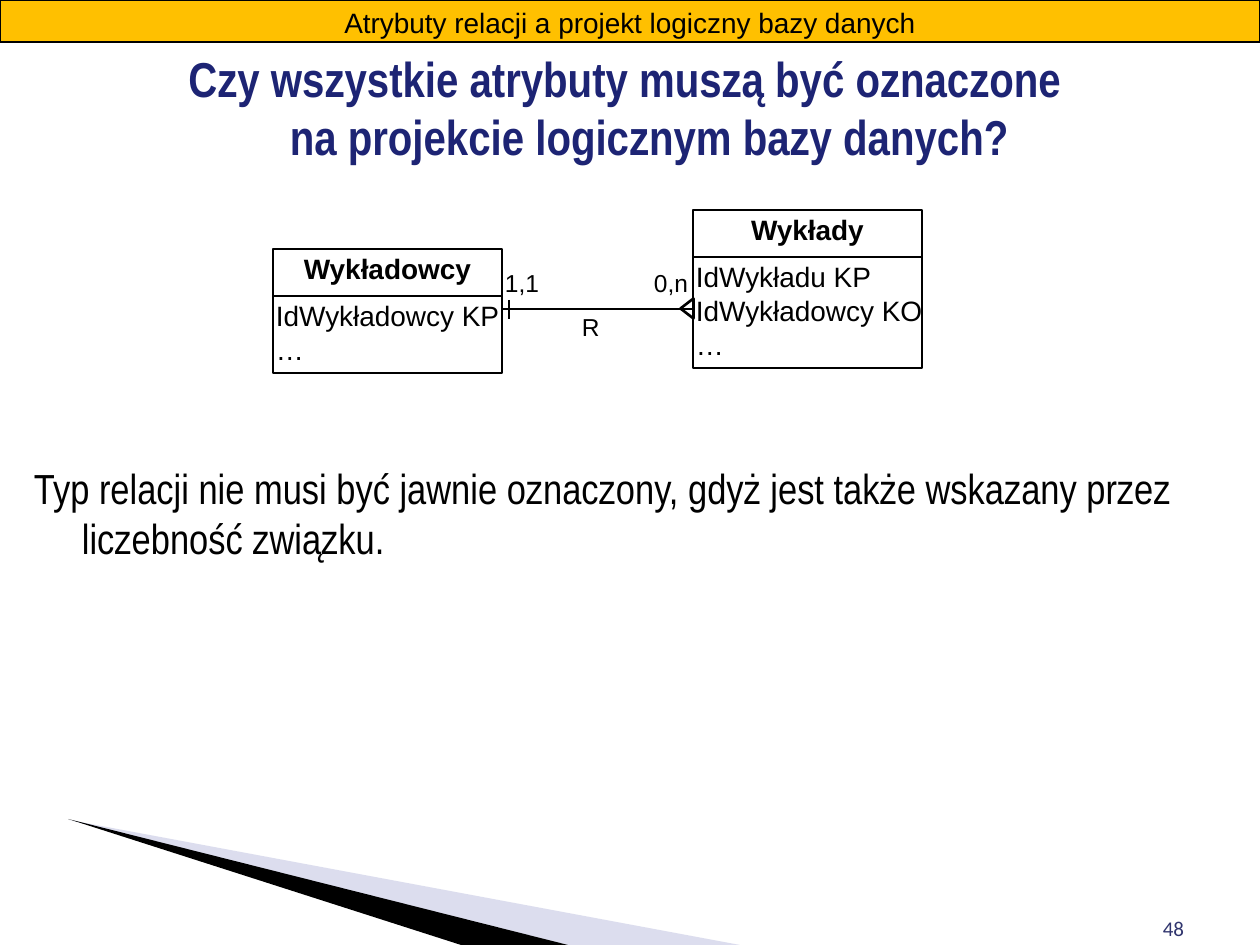
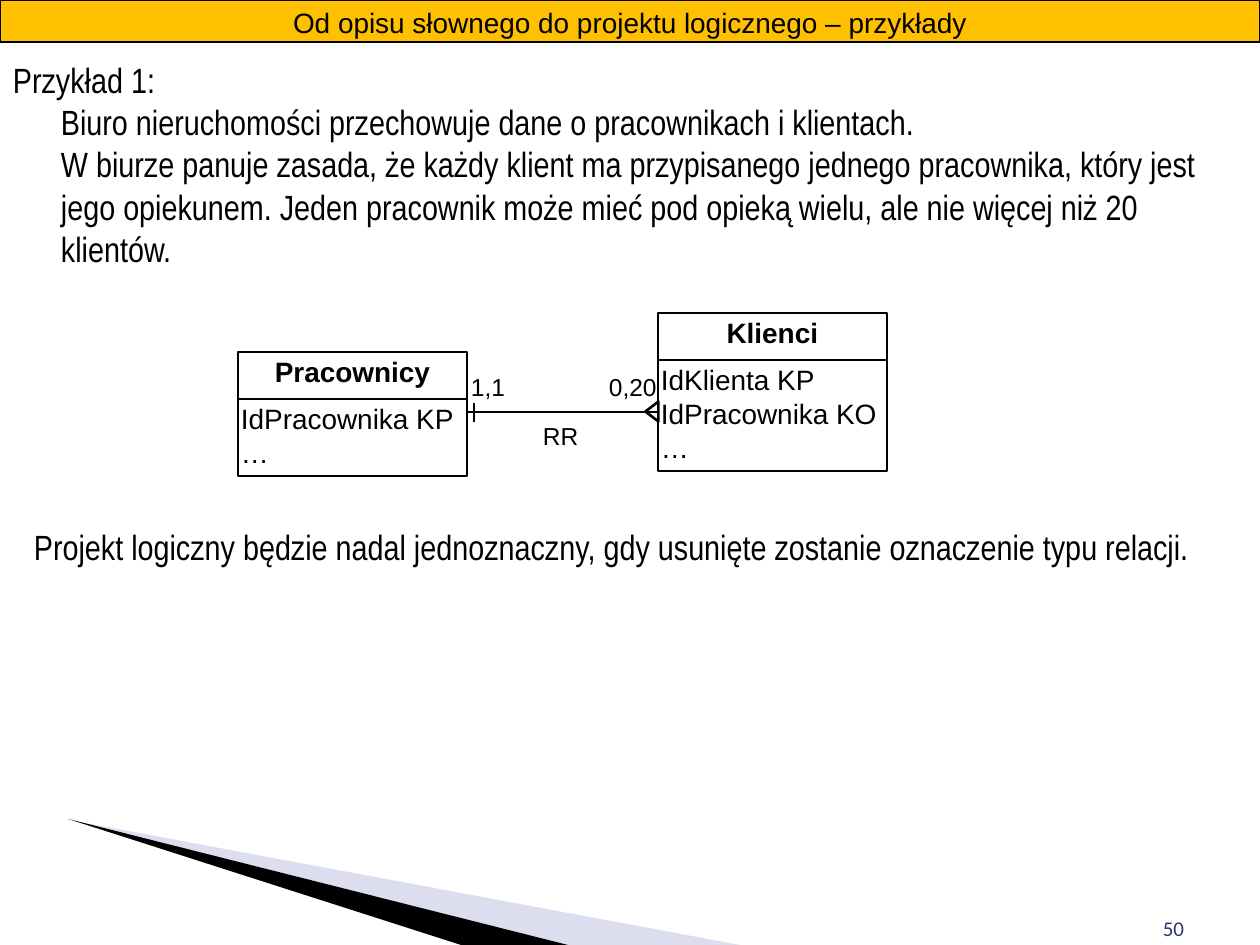
from lxml import etree
from pptx import Presentation
from pptx import util as u
from pptx.dml.color import RGBColor
from pptx.enum import shapes, text
from pptx.oxml.ns import qn

PX = 7257
BLACK, WHITE, GOLD, NAVY = "000000", "FFFFFF", "FFC000", "1D2474"
PALE, NUMBER = "A8ABD5", "30356E"
NARROW = "Arial Narrow"
LEFT, CENTER, RIGHT = text.PP_ALIGN.LEFT, text.PP_ALIGN.CENTER, text.PP_ALIGN.RIGHT
color = RGBColor.from_string


def add_box(page, bounds, lines, size, font="Arial", ink=BLACK, bold=False, fill=None,
            align=LEFT, insets=(13, 6), hang=0, wrap=True):
    place = [n * PX for n in bounds]
    if fill:
        box = page.shapes.add_shape(shapes.MSO_SHAPE.RECTANGLE, *place)
        box.shadow.inherit = False
        box.fill.solid()
        box.fill.fore_color.rgb = color(fill)
        box.line.color.rgb = color(BLACK)
        box.line.width = u.Pt(0.75)
    else:
        box = page.shapes.add_textbox(*place)
    frame = box.text_frame
    frame.text = "\n".join(lines)
    frame.word_wrap = wrap
    frame.vertical_anchor = text.MSO_ANCHOR.TOP
    frame.margin_left = frame.margin_right = insets[0] * PX
    frame.margin_top = frame.margin_bottom = insets[1] * PX
    for index, para in enumerate(frame.paragraphs):
        para.alignment = align
        if hang:
            properties = para._p.get_or_add_pPr()
            properties.set("marL", str(hang * PX))
            properties.set("indent", str(0 if index else -hang * PX))
        for span in para.runs:
            span.font.name = font
            span.font.size = u.Pt(size)
            span.font.bold = bold
            span.font.color.rgb = color(ink)
    return box


def add_line(page, *ends):
    line = page.shapes.add_connector(shapes.MSO_CONNECTOR.STRAIGHT, *[n * PX for n in ends])
    line.line.color.rgb = color(BLACK)
    line.line.width = u.Pt(1.5)
    etree.SubElement(line._element.spPr, qn("a:effectLst"))


deck = Presentation()
deck.slide_width, deck.slide_height = u.Inches(10), u.Inches(7.5)

slides = [
    dict(
        band="Atrybuty relacji a projekt logiczny bazy danych", number="48",
        origin=(273, 210),
        one=("Wykładowcy", ["IdWykładowcy KP", "…"]),
        many=("Wykłady", ["IdWykładu KP", "IdWykładowcy KO", "…"]),
        labels=[("1,1", 505, 268), ("0,n", 654, 268), ("R", 582, 312)],
        texts=[
            dict(bounds=(0, 42, 1260, 168), size=28, ink=NAVY, bold=True, align=CENTER,
                 insets=(6, 6), hang=38,
                 lines=["Czy wszystkie atrybuty muszą być oznaczone \v"
                        "na projekcie logicznym bazy danych?"]),
            dict(bounds=(21, 456, 1187, 121), size=24, hang=48,
                 lines=["Typ relacji nie musi być jawnie oznaczony, gdyż jest także "
                        "wskazany przez liczebność związku."]),
        ],
    ),
    dict(
        band="Od opisu słownego do projektu logicznego – przykłady", number="50",
        origin=(238, 313),
        one=("Pracownicy", ["IdPracownika KP", "…"]),
        many=("Klienci", ["IdKlienta KP", "IdPracownika KO", "…"]),
        labels=[("1,1", 471, 372), ("0,20", 609, 372), ("RR", 543, 421)],
        texts=[
            dict(bounds=(0, 53, 1260, 189), size=20, hang=48,
                 lines=["Przykład 1:",
                        "Biuro nieruchomości przechowuje dane o pracownikach i klientach.",
                        "W biurze panuje zasada, że każdy klient ma przypisanego jednego "
                        "pracownika, który jest jego opiekunem. Jeden pracownik może mieć "
                        "pod opieką wielu, ale nie więcej niż 20 klientów."]),
            dict(bounds=(21, 519, 1187, 121), size=20,
                 lines=["Projekt logiczny będzie nadal jednoznaczny, gdy usunięte zostanie "
                        "oznaczenie typu relacji."]),
        ],
    ),
]
wedges = [
    (PALE, [(69, 820), (740, 945), (568, 945)]),
    (BLACK, [(68, 819), (568, 945), (461, 945)]),
]
entity_width, head_height = 229, 47

for content in slides:
    page = deck.slides.add_slide(deck.slide_layouts[6])

    for fill, (start, *corners) in wedges:
        builder = page.shapes.build_freeform(*start, scale=PX)
        builder.add_line_segments(corners, close=True)
        wedge = builder.convert_to_shape()
        wedge.shadow.inherit = False
        wedge.line.fill.background()
        wedge.fill.solid()
        wedge.fill.fore_color.rgb = color(fill)
        if fill == PALE:
            tint = wedge._element.spPr.find(qn("a:solidFill"))[0]
            etree.SubElement(tint, qn("a:alpha"), val="40000")

    number = add_box(page, (903, 882, 294, 65), [content["number"]], 12, "Calibri", NUMBER,
                     align=RIGHT)
    number.text_frame.vertical_anchor = text.MSO_ANCHOR.BOTTOM
    add_box(page, (0, 0, 1260, 42), [content["band"]], 16, fill=GOLD, align=CENTER)
    for block in content["texts"]:
        add_box(page, font=NARROW, **block)

    left, top = content["origin"]
    many_left = left + 420
    entities = [(content["many"], many_left, top, 111), (content["one"], left, top + 39, 77)]
    for (name, fields), x, y, body_height in entities:
        add_box(page, (x, y, entity_width, head_height), [name], 16, bold=True, fill=WHITE,
                align=CENTER, insets=(13, 3))
        add_box(page, (x, y + head_height, entity_width, body_height), fields, 16,
                fill=WHITE, insets=(3, 3), wrap=False)

    axis = top + 99
    one_right = left + entity_width
    add_line(page, one_right, axis, many_left, axis)
    add_line(page, one_right + 7, axis - 9, one_right + 7, axis + 10)
    foot = page.shapes.add_shape(shapes.MSO_SHAPE.ISOSCELES_TRIANGLE, (many_left - 16) * PX,
                                 (axis - 7) * PX, 20 * PX, 13 * PX)
    foot.rotation = 270
    foot.shadow.inherit = False
    foot.fill.background()
    foot.line.color.rgb = color(BLACK)
    foot.line.width = u.Pt(1.5)

    for label, x, y in content["labels"]:
        add_box(page, (x, y, 53, 34), [label], 14, insets=(0, 0), wrap=False)

deck.save("out.pptx")
